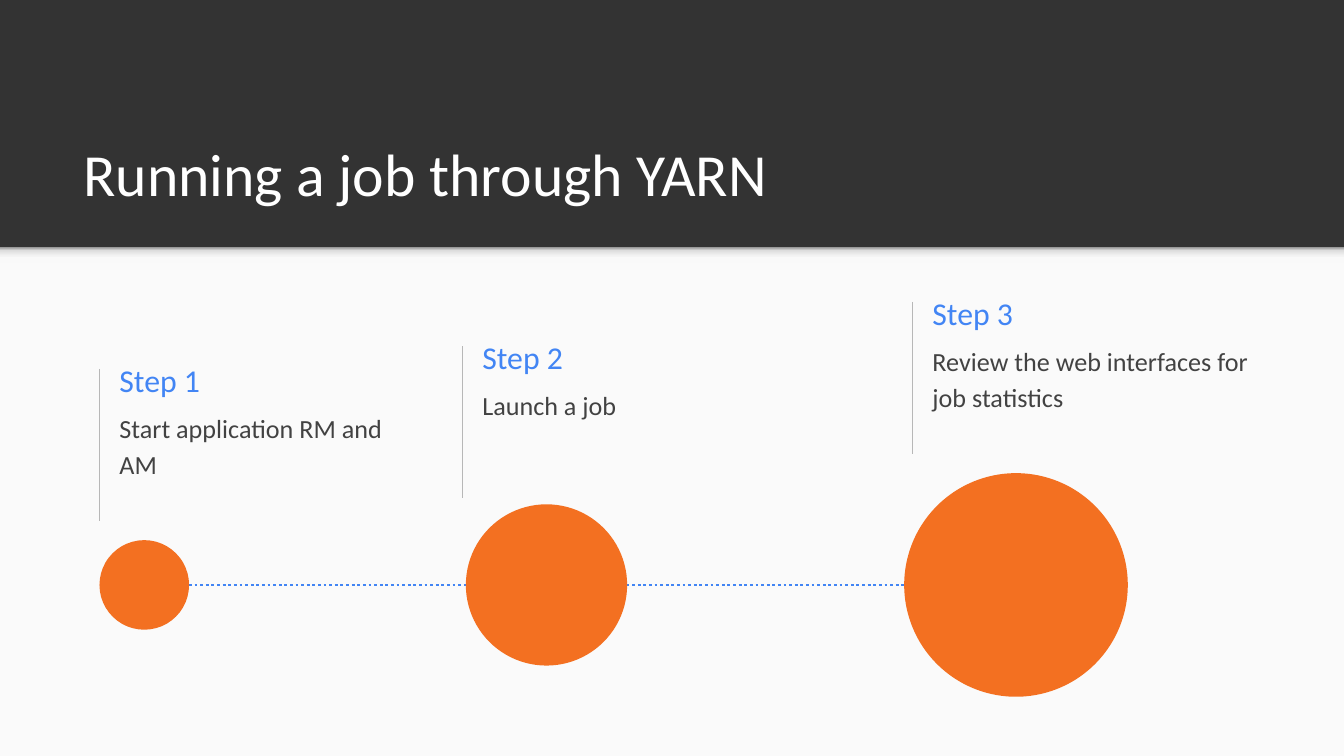
import pptx
import pptx.dml.color
import pptx.enum.dml
import pptx.enum.shapes
import pptx.enum.text
import pptx.oxml
import pptx.oxml.ns
import pptx.util
from dataclasses import dataclass

Pt = pptx.util.Pt
Rgb = pptx.dml.color.RGBColor.from_string
Shape = pptx.enum.shapes.MSO_SHAPE
Anchor = pptx.enum.text.MSO_ANCHOR


@dataclass(frozen=True)
class Theme:
    font: str = "Calibri"
    dark: str = "333333"
    panel: str = "FAFAFA"
    title: str = "FFFFFF"
    heading: str = "4285F4"
    body: str = "424242"
    rule: str = "B7B7B7"
    circle: str = "F37021"
    title_size: float = 32
    heading_size: float = 17
    body_size: float = 14


theme = Theme()


def write(box, text, size, color, anchor):
    """Fill a text box or placeholder with one left-aligned paragraph."""
    frame = box.text_frame
    frame.word_wrap = True
    frame.auto_size = pptx.enum.text.MSO_AUTO_SIZE.NONE
    frame.vertical_anchor = anchor
    frame.margin_left = frame.margin_right = Pt(7.2)
    frame.margin_top = frame.margin_bottom = Pt(7.2)
    para = frame.paragraphs[0]
    para.alignment = pptx.enum.text.PP_ALIGN.LEFT
    span = para.add_run()
    span.text = text
    span.font.name = theme.font
    span.font.size = Pt(size)
    span.font.color.rgb = Rgb(color)
    return para


def draw_line(x1, y1, x2, y2, color, width):
    line = page.shapes.add_connector(
        pptx.enum.shapes.MSO_CONNECTOR.STRAIGHT, Pt(x1), Pt(y1), Pt(x2), Pt(y2))
    line.line.color.rgb = Rgb(color)
    line.line.width = Pt(width)
    properties = line.element.find(pptx.oxml.ns.qn("p:spPr"))
    properties.append(pptx.oxml.parse_xml(
        f"<a:effectLst {pptx.oxml.ns.nsdecls('a')}/>"))
    return line


deck = pptx.Presentation()
deck.slide_width, deck.slide_height = Pt(720), Pt(405)
page = deck.slides.add_slide(deck.slide_layouts[5])
page.background.fill.solid()
page.background.fill.fore_color.rgb = Rgb(theme.dark)

# Light panel with a soft shadow along its top edge
band_bottom = 132.6
panel = page.shapes.add_shape(
    Shape.RECTANGLE, 0, Pt(band_bottom), Pt(720), Pt(405 - band_bottom))
panel.fill.solid()
panel.fill.fore_color.rgb = Rgb(theme.panel)
edge = page.shapes.add_shape(Shape.RECTANGLE, 0, Pt(band_bottom), Pt(720), Pt(8.5))
for shape in (panel, edge):
    shape.line.fill.background()
    shape.shadow.inherit = False

stops = [(0, "999999"), (20, "DEDEDE"), (64, "F9F9F9"), (100, "F9F9F9")]
stop_xml = "".join(
    f'<a:gs pos="{position * 1000}"><a:srgbClr val="{color}"/></a:gs>'
    for position, color in stops)
gradient = pptx.oxml.parse_xml(
    f"<a:gradFill {pptx.oxml.ns.nsdecls('a')}><a:gsLst>{stop_xml}</a:gsLst>"
    '<a:lin ang="5400000" scaled="0"/></a:gradFill>')
edge.element.spPr.find(pptx.oxml.ns.qn("a:prstGeom")).addnext(gradient)

title = page.shapes.title
title.left, title.top, title.width, title.height = Pt(37.5), Pt(58.5), Pt(647), Pt(60.5)
write(title, "Running a job through YARN", theme.title_size, theme.title, Anchor.BOTTOM)

# Heading, text, rule left, rule top, text width, circle left, circle diameter
steps = [
    ("Step 1", "Start application RM and AM", 53.3, 197.6, 165, 53.3, 48),
    ("Step 2", "Launch a job", 247.7, 185.6, 192, 249.6, 86.4),
    ("Step 3", "Review the web interfaces for job statistics", 488.8, 161.8, 192, 484.4, 119.8),
]
axis = 313.4

for heading, text, left, top, width, circle_left, diameter in steps:
    draw_line(left, top, left, top + 81.4, theme.rule, 0.75)
    box = page.shapes.add_textbox(Pt(left + 3.6), Pt(top - 9.7), Pt(142.5), Pt(31))
    write(box, heading, theme.heading_size, theme.heading, Anchor.MIDDLE)
    box = page.shapes.add_textbox(Pt(left + 3.6), Pt(top + 13.4), Pt(width), Pt(45.5))
    para = write(box, text, theme.body_size, theme.body, Anchor.TOP)
    para.line_spacing = 1.15
    para.space_after = Pt(16)

# Dotted timeline from the first circle to the last, under the circles
timeline = draw_line(steps[0][5] + steps[0][6], axis, steps[-1][5], axis, theme.heading, 1.5)
timeline.line.dash_style = pptx.enum.dml.MSO_LINE.ROUND_DOT

for *_, circle_left, diameter in steps:
    circle = page.shapes.add_shape(
        Shape.OVAL, Pt(circle_left), Pt(axis - diameter / 2), Pt(diameter), Pt(diameter))
    circle.fill.solid()
    circle.fill.fore_color.rgb = Rgb(theme.circle)
    circle.line.fill.background()
    circle.shadow.inherit = False

deck.save("out.pptx")
